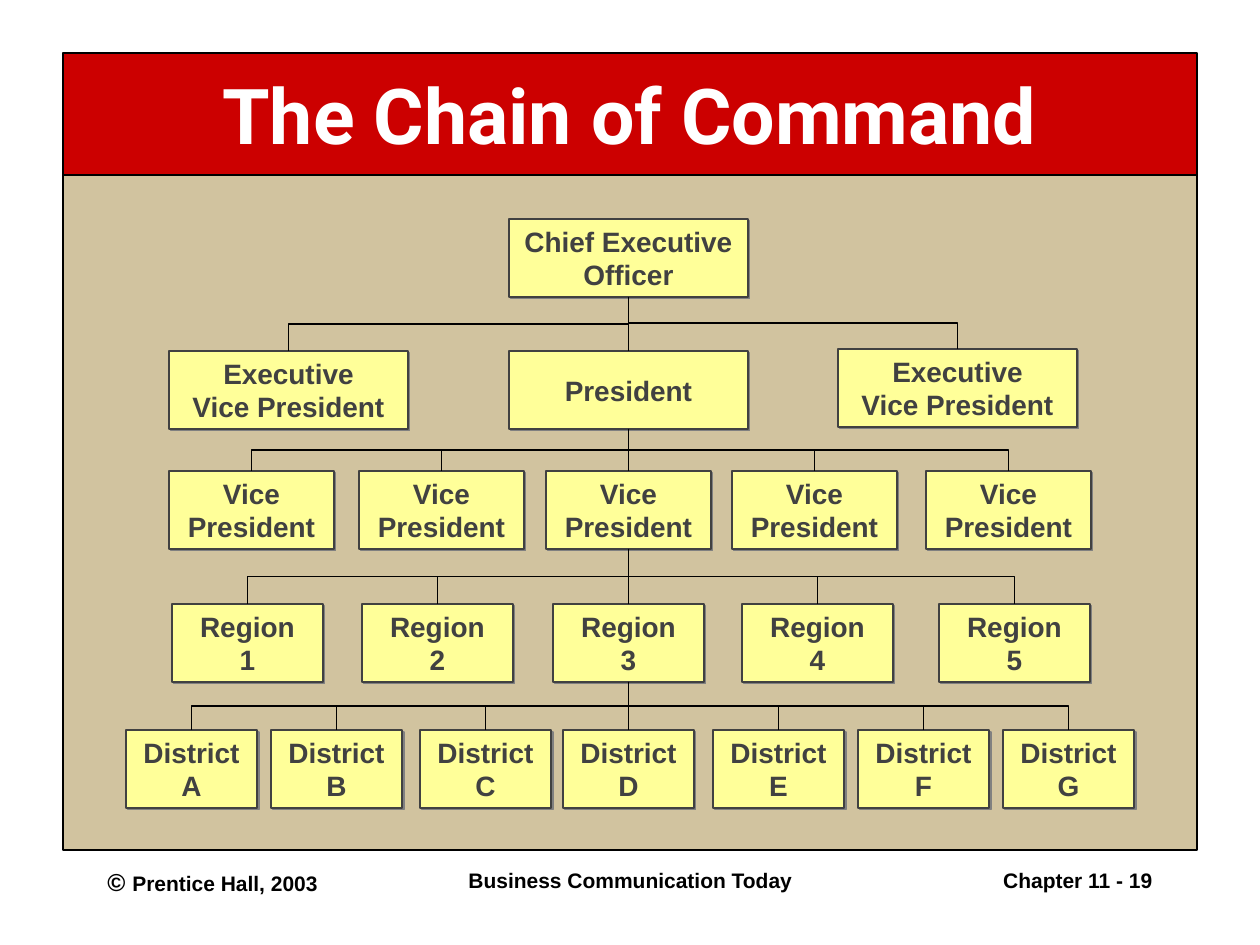
from dataclasses import dataclass

from lxml.etree import SubElement
from pptx import Presentation
from pptx.dml.color import RGBColor
from pptx.enum.shapes import MSO_CONNECTOR as Link, MSO_SHAPE as Kind
from pptx.enum.text import MSO_ANCHOR as Anchor, MSO_AUTO_SIZE as Fit, PP_ALIGN as Align
from pptx.oxml.ns import qn
from pptx.util import Inches, Pt

SCALE = Inches(1) / 126  # EMU in one px
BLACK, WHITE, RED, TAN = "000000", "FFFFFF", "CC0000", "D1C39F"
CREAM, GREY, SHADE = "FFFF99", "414141", "808080"
HIGH = 78  # height of every box


@dataclass
class Box:
    left: int
    text: str
    drop: int = 0


@dataclass
class Row:
    top: int
    width: int
    boss: int  # place of the box that leads to the next row
    boxes: list[Box]


def series(word: str, marks: str, lefts: list[int]) -> list[Box]:
    return [Box(x, f"{word}\n{mark}") for x, mark in zip(lefts, marks)]


ROWS = [
    Row(219, 239, 0, [Box(509, "Chief Executive\nOfficer")]),
    Row(351, 239, 1, [Box(169, "Executive\nVice President"), Box(509, "President"),
                      Box(838, "Executive\nVice President", -2)]),
    Row(471, 165, 2, [Box(x, "Vice\nPresident") for x in (169, 359, 546, 732, 926)]),
    Row(604, 151, 2, series("Region", "12345", [172, 362, 553, 742, 939])),
    Row(730, 131, 3, series("District", "ABCDEFG", [126, 271, 420, 563, 713, 858, 1003])),
]


def px(size: float) -> int:
    return round(size * SCALE)


def tint(code: str) -> RGBColor:
    return RGBColor.from_string(code)


def place(shape, left: float, top: float, width: float, height: float) -> None:
    shape.left, shape.top = px(left), px(top)
    shape.width, shape.height = px(width), px(height)


def paint(shape, fill: str, line: str, weight: float) -> None:
    shape.fill.solid()
    shape.fill.fore_color.rgb = tint(fill)
    shape.line.color.rgb = tint(line)
    shape.line.width = Pt(weight)


def style(para, size: int, color: str, align: Align, face: str = "Arial") -> None:
    para.alignment = align
    font = para.font
    font.name, font.size, font.bold = face, Pt(size), True
    font.color.rgb = tint(color)


def block(shapes, left: int, top: int, width: int, height: int,
          fill: str, line: str, weight: float):
    shape = shapes.add_shape(Kind.RECTANGLE, px(left), px(top), px(width), px(height))
    paint(shape, fill, line, weight)
    shape.shadow.inherit = False
    return shape


def add_box(shapes, row: Row, box: Box):
    shape = block(shapes, box.left, row.top + box.drop, row.width, HIGH, CREAM, GREY, 1)
    # Hard grey shadow to the lower right
    effect = shape._element.spPr.find(qn("a:effectLst"))
    shadow = SubElement(effect, qn("a:outerShdw"), dist=str(Pt(1.4)), dir="2700000",
                        algn="ctr", rotWithShape="0")
    SubElement(shadow, qn("a:srgbClr"), val=SHADE)
    frame = shape.text_frame
    frame.word_wrap = False
    frame.vertical_anchor = Anchor.MIDDLE
    frame.text = box.text
    for para in frame.paragraphs:
        style(para, 16, GREY, Align.CENTER)
    return shape


def join(shapes, boss, child) -> None:
    """Link the foot of the boss to the head of the child."""
    x, y = boss.left + boss.width // 2, boss.top + boss.height
    end, drop = child.left + child.width // 2, child.top - y
    span = abs(end - x)
    bent = span > px(2)
    line = shapes.add_connector(Link.ELBOW if bent else Link.STRAIGHT, x, y, end, child.top)
    line.begin_connect(boss, 2)
    line.end_connect(child, 0)
    line.line.color.rgb = tint(BLACK)
    line.line.width = Pt(0.75)
    props = line._element.spPr
    SubElement(props, qn("a:effectLst"))
    if bent:  # turn the elbow so that it leaves downwards
        line.left, line.top = (x + end - drop) // 2, y + (drop - span) // 2
        line.width, line.height = drop, span
        right = end > x
        form = props.find(qn("a:xfrm"))
        form.set("rot", "16200000" if right else "5400000")
        form.set("flipH", "1" if right else "0")


def add_note(shapes, left: int, width: int, align: Align, text: str, mark: str = "") -> None:
    note = shapes.add_textbox(px(left), px(861), px(width), px(63))
    note.text_frame.word_wrap = True
    para = note.text_frame.paragraphs[0]
    if mark:
        sign = para.add_run()
        sign.text, sign.font.size = mark, Pt(14)
    para.add_run().text = text
    style(para, 12, BLACK, align)


def main() -> None:
    deck = Presentation()
    deck.slide_width, deck.slide_height = Inches(10), Inches(7.5)
    slide = deck.slides.add_slide(deck.slide_layouts[5])
    shapes = slide.shapes

    # Footer
    add_note(shapes, 95, 262, Align.LEFT, "Prentice Hall, 2003", "© ")
    add_note(shapes, 431, 399, Align.CENTER, "Business Communication Today")
    add_note(shapes, 903, 262, Align.RIGHT, "Chapter 11 - 19")

    # Panel, with the title band over its top edge
    panel = block(shapes, 63, 168, 1134, 682, TAN, BLACK, 0.75)
    title = shapes.title
    panel._element.addnext(title._element)
    place(title, 63, 53, 1134, 122)
    paint(title, RED, BLACK, 0.75)
    frame = title.text_frame
    frame.text = "The Chain of Command"
    frame.auto_size = Fit.NONE
    frame.vertical_anchor = Anchor.MIDDLE
    style(frame.paragraphs[0], 44, WHITE, Align.CENTER, "Roboto")

    # Chart of boxes, then the lines between rows
    chart = shapes.add_group_shape().shapes
    tiers = [[add_box(chart, row, box) for box in row.boxes] for row in ROWS]
    for row, tier, below in zip(ROWS, tiers, tiers[1:]):
        for child in below:
            join(chart, tier[row.boss], child)

    deck.save("out.pptx")


if __name__ == "__main__":
    main()
